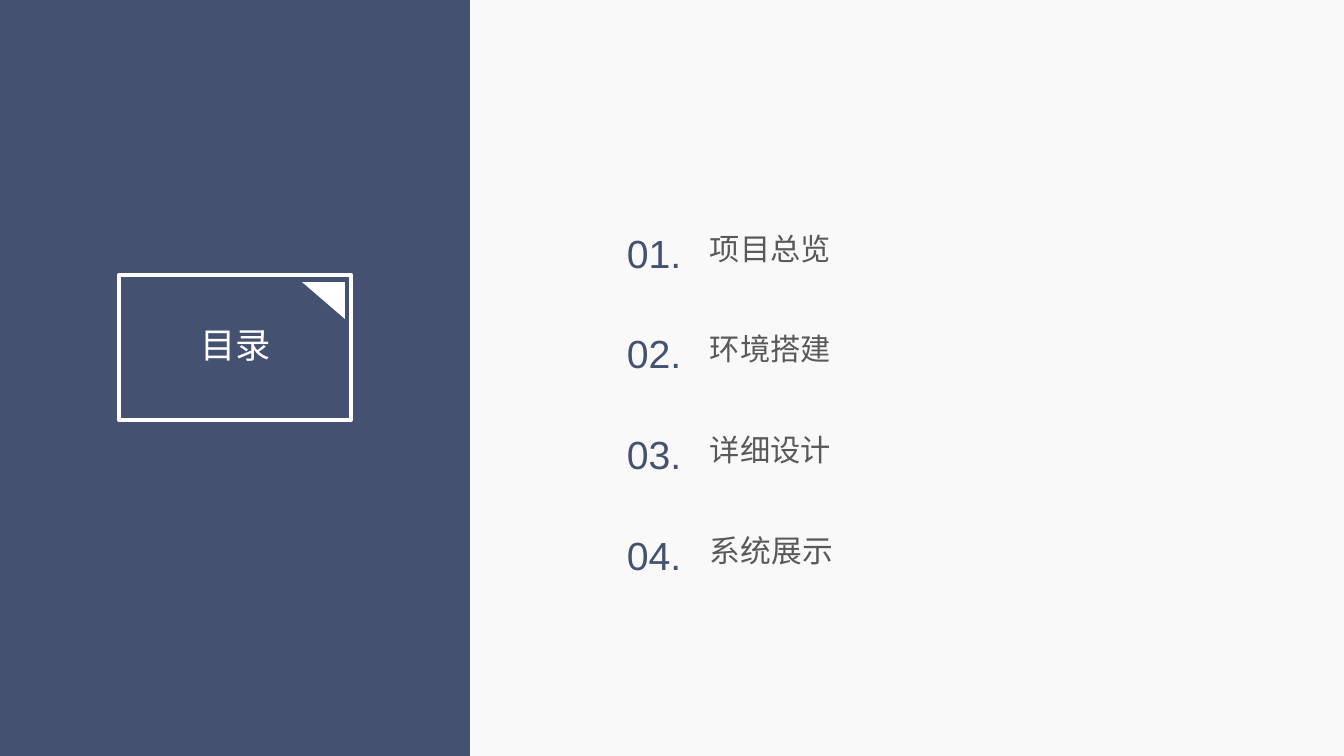
from pptx import Presentation
from pptx.dml.color import RGBColor
from pptx.enum.shapes import MSO_SHAPE
from pptx.enum.text import MSO_ANCHOR, MSO_AUTO_SIZE, PP_ALIGN
from pptx.util import Pt

RECT, TRIANGLE = MSO_SHAPE.RECTANGLE, MSO_SHAPE.ISOSCELES_TRIANGLE
TOP, NO_FIT = MSO_ANCHOR.TOP, MSO_AUTO_SIZE.NONE
LEFT, CENTER = PP_ALIGN.LEFT, PP_ALIGN.CENTER

EMU_PER_PX = 914400 / 100.8
FONT = "Arial"
COLORS = {"back": "F9F9F9", "navy": "455171", "white": "FFFFFF", "gray": "595959"}

# Label, label width, label size
ITEMS = [
    ("项目总览", 424, 21.6),
    ("环境搭建", 326, 21.6),
    ("详细设计", 326, 21.6),
    ("系统展示", 432, 22),
]
FIRST_TOP, ROW_PITCH = 224, 100.5


def px(n):
    return round(n * EMU_PER_PX)


def color(name):
    return RGBColor.from_string(COLORS[name])


def add_block(slide, kind, box, fill=None, line=None):
    sp = slide.shapes.add_shape(kind, *map(px, box))
    sp.shadow.inherit = False
    if fill:
        sp.fill.solid()
        sp.fill.fore_color.rgb = color(fill)
    else:
        sp.fill.background()
    if line:
        sp.line.color.rgb = color(line)
        sp.line.width = Pt(3)
    else:
        sp.line.fill.background()
    return sp


def set_text(sp, text, size, ink, align=LEFT):
    tf = sp.text_frame
    tf.text = text
    tf.word_wrap = True
    tf.auto_size = NO_FIT
    tf.vertical_anchor = TOP
    p = tf.paragraphs[0]
    p.alignment = align
    font = p.runs[0].font
    font.name, font.size = FONT, Pt(size)
    font.color.rgb = color(ink)


def add_text(slide, box, text, size, ink):
    set_text(slide.shapes.add_textbox(*map(px, box)), text, size, ink)


def place_title(slide, box, text, size, ink):
    sp = slide.shapes.title
    sp.left, sp.top, sp.width, sp.height = map(px, box)
    set_text(sp, text, size, ink, CENTER)
    # Bring the title in front of the panel
    slide.shapes.element.append(sp.element)


def main():
    prs = Presentation()
    prs.slide_width, prs.slide_height = px(1344), px(756)
    slide = prs.slides.add_slide(prs.slide_layouts[5])
    slide.background.fill.solid()
    slide.background.fill.fore_color.rgb = color("back")

    # Side panel with the framed title
    add_block(slide, RECT, (0, 0, 470, 761), fill="navy")
    add_block(slide, RECT, (119, 275, 232, 145), line="white")
    corner = add_block(slide, TRIANGLE, (302, 282, 43, 37), fill="white")
    corner.adjustments[0] = 0
    corner.rotation = 180
    place_title(slide, (133, 318, 205, 58), "目录", 25.2, "white")

    # Numbered contents
    for i, (label, width, size) in enumerate(ITEMS):
        top = round(FIRST_TOP + i * ROW_PITCH)
        add_text(slide, (617, top, 76, 58), f"{i + 1:02}.", 28, "navy")
        add_text(slide, (700, top + 1, width, 50), label, size, "gray")

    prs.save("out.pptx")


main()
